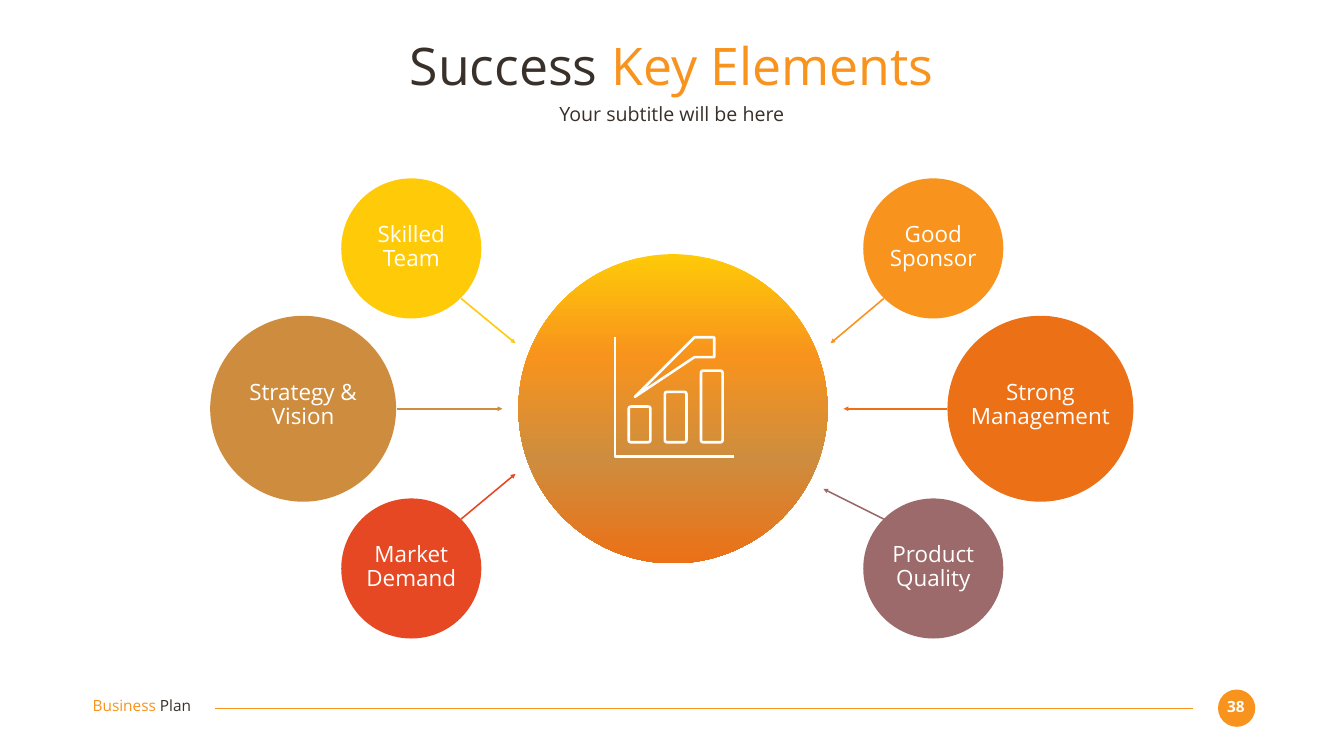
from lxml.etree import SubElement
from pptx import Presentation
from pptx.dml.color import RGBColor
from pptx.enum.shapes import MSO_CONNECTOR, MSO_SHAPE
from pptx.enum.text import MSO_ANCHOR, MSO_AUTO_SIZE, PP_ALIGN
from pptx.oxml.ns import qn
from pptx.util import Cm, Pt

COLORS = {
    "white": "FFFFFF", "dark": "39302A", "orange": "F8931D", "yellow": "FFCA08",
    "tan": "CE8D3E", "red": "E64823", "deep orange": "EC7016", "mauve": "9C6A6A",
}


def write_text(shape, *paragraphs, size, align=PP_ALIGN.CENTER, bold=False):
    """Fill a shape with paragraphs, each a list of (text, color) runs."""
    frame = shape.text_frame
    frame.margin_left = frame.margin_right = frame.margin_top = frame.margin_bottom = 0
    frame.word_wrap = True
    frame.auto_size = MSO_AUTO_SIZE.NONE
    frame.vertical_anchor = MSO_ANCHOR.MIDDLE
    for index, runs in enumerate(paragraphs):
        paragraph = frame.add_paragraph() if index else frame.paragraphs[0]
        properties = paragraph._p.get_or_add_pPr()
        properties.set("marL", "0")
        properties.set("indent", "0")
        SubElement(properties, qn("a:buNone"))
        paragraph.alignment = align
        paragraph.line_spacing = 0.9
        paragraph.space_before = Pt(0)
        for text, color in runs:
            run = paragraph.add_run()
            run.text = text
            run.font.name = "Open Sans"
            run.font.size = Pt(size)
            run.font.bold = bold
            run.font.color.rgb = RGBColor.from_string(COLORS[color])


def add_circle(center_x, center_y, diameter, color):
    """Add a plain circle around a centre given in centimetres."""
    circle = slide.shapes.add_shape(
        MSO_SHAPE.OVAL, Cm(center_x - diameter / 2), Cm(center_y - diameter / 2),
        Cm(diameter), Cm(diameter))
    circle.shadow.inherit = False
    circle.line.fill.background()
    circle.fill.solid()
    circle.fill.fore_color.rgb = RGBColor.from_string(COLORS[color])
    return circle


presentation = Presentation()
presentation.slide_width = Cm(67.74)
presentation.slide_height = Cm(38.1)
slide = presentation.slides.add_slide(presentation.slide_layouts[1])

# Title and subtitle
title, subtitle = slide.shapes.title, slide.placeholders[1]
for placeholder, top, height in ((title, 1.85, 3.23), (subtitle, 5.16, 1.24)):
    placeholder.left, placeholder.top = Cm(4.65), Cm(top)
    placeholder.width, placeholder.height = Cm(58.42), Cm(height)
write_text(title, [("Success ", "dark"), ("Key Elements", "orange")], size=74)
write_text(subtitle, [("Your subtitle will be here", "dark")], size=28)

# Footer: page number and deck name
add_circle(62.33, 35.69, 1.88, "orange")
page_number = slide.shapes.add_textbox(Cm(61.54), Cm(35.18), Cm(1.5), Cm(0.94))
write_text(page_number, [("38", "white")], size=22, bold=True)
deck_name = slide.shapes.add_textbox(Cm(4.67), Cm(35.15), Cm(6.58), Cm(0.94))
write_text(deck_name, [("Business ", "orange"), ("Plan", "dark")], size=22,
           align=PP_ALIGN.LEFT)

# Elements: label lines, color, centre, diameter, label width, arrow start and end
MIDDLE_X, MIDDLE_Y = 33.92, 20.6
SMALL, LARGE = 7.06, 9.37
elements = [
    (["Skilled Team"], "yellow", 20.73, 12.52, SMALL, 5.66, (23.24, 15.04), (25.98, 17.3)),
    (["Strategy & Vision"], "tan", 15.28, MIDDLE_Y, LARGE, 5.66,
     (19.99, MIDDLE_Y), (25.32, MIDDLE_Y)),
    (["Market Demand"], "red", 20.73, 28.65, SMALL, 5.66, (23.24, 26.16), (25.98, 23.88)),
    (["Good Sponsor"], "orange", 47.04, 12.52, SMALL, 5.66, (44.55, 15.04), (41.86, 17.3)),
    (["Strong", "Management"], "deep orange", 52.44, MIDDLE_Y, LARGE, 7.4,
     (47.75, MIDDLE_Y), (42.52, MIDDLE_Y)),
    (["Product Quality"], "mauve", 47.04, 28.65, SMALL, 5.66, (44.55, 26.16), (41.5, 24.64)),
]
for lines, color, x, y, diameter, label_width, start, end in elements:
    add_circle(x, y, diameter, color)

# Footer rule and arrows
connectors = [((60.12, 35.69), (10.85, 35.69), "orange", 1.5, False)]
connectors += [(start, end, color, 2.25, True)
               for lines, color, x, y, diameter, label_width, start, end in elements]
for start, end, color, width, has_head in connectors:
    connector = slide.shapes.add_connector(
        MSO_CONNECTOR.STRAIGHT, Cm(start[0]), Cm(start[1]), Cm(end[0]), Cm(end[1]))
    connector.line.color.rgb = RGBColor.from_string(COLORS[color])
    connector.line.width = Pt(width)
    if has_head:
        SubElement(connector.line._get_or_add_ln(), qn("a:tailEnd"), type="triangle")
    SubElement(connector._element.spPr, qn("a:effectLst"))

# Central circle with a vertical gradient
hub = add_circle(MIDDLE_X, MIDDLE_Y, 15.58, "orange")
hub.fill.gradient()
hub.fill.gradient_angle = 270
stop_list = hub._element.spPr.find(qn("a:gradFill")).find(qn("a:gsLst"))
stop_list.clear()
for position, color in ((0, "yellow"), (33, "orange"), (66, "tan"), (100, "deep orange")):
    stop = SubElement(stop_list, qn("a:gs"), pos=str(position * 1000))
    SubElement(stop, qn("a:srgbClr"), val=COLORS[color])

# Element labels
for lines, color, x, y, diameter, label_width, start, end in elements:
    label_top = y - 1.55 if diameter == LARGE else y - 1.43
    label = slide.shapes.add_textbox(
        Cm(x - label_width / 2), Cm(label_top), Cm(label_width), Cm(2.74))
    write_text(label, *[[(line, "white")] for line in lines], size=32)

# Growth chart icon: axes, rising arrow and three bars
outlines = [
    ([(30.98, 17.23), (30.98, 23), (36.77, 23)], False),
    ([(32.31, 19.89), (35, 17.22), (34.64, 16.88), (35.67, 16.88),
      (35.67, 17.91), (35.31, 17.6)], True),
]
icon_parts = []
for points, closed in outlines:
    builder = slide.shapes.build_freeform(*points[0], scale=Cm(1))
    builder.add_line_segments(points[1:], close=closed)
    icon_parts.append(builder.convert_to_shape())
for index, height in enumerate((1.8, 2.54, 3.61)):
    bar = slide.shapes.add_shape(
        MSO_SHAPE.ROUNDED_RECTANGLE, Cm(31.69 + index * 1.82), Cm(22.29 - height),
        Cm(1.09), Cm(height))
    bar.adjustments[0] = 0.1
    icon_parts.append(bar)
for part in icon_parts:
    part.shadow.inherit = False
    part.fill.background()
    part.line.color.rgb = RGBColor.from_string(COLORS["white"])
    part.line.width = Pt(3.75)

presentation.save("out.pptx")
